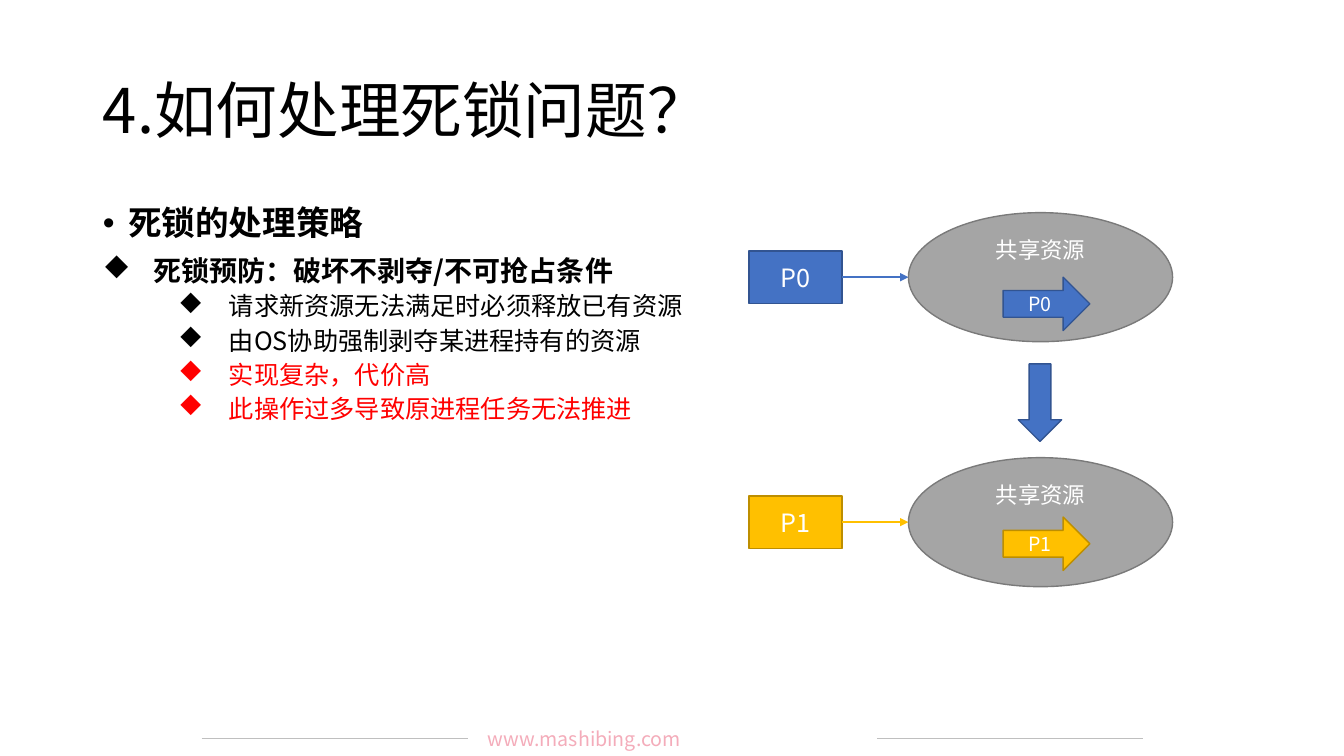
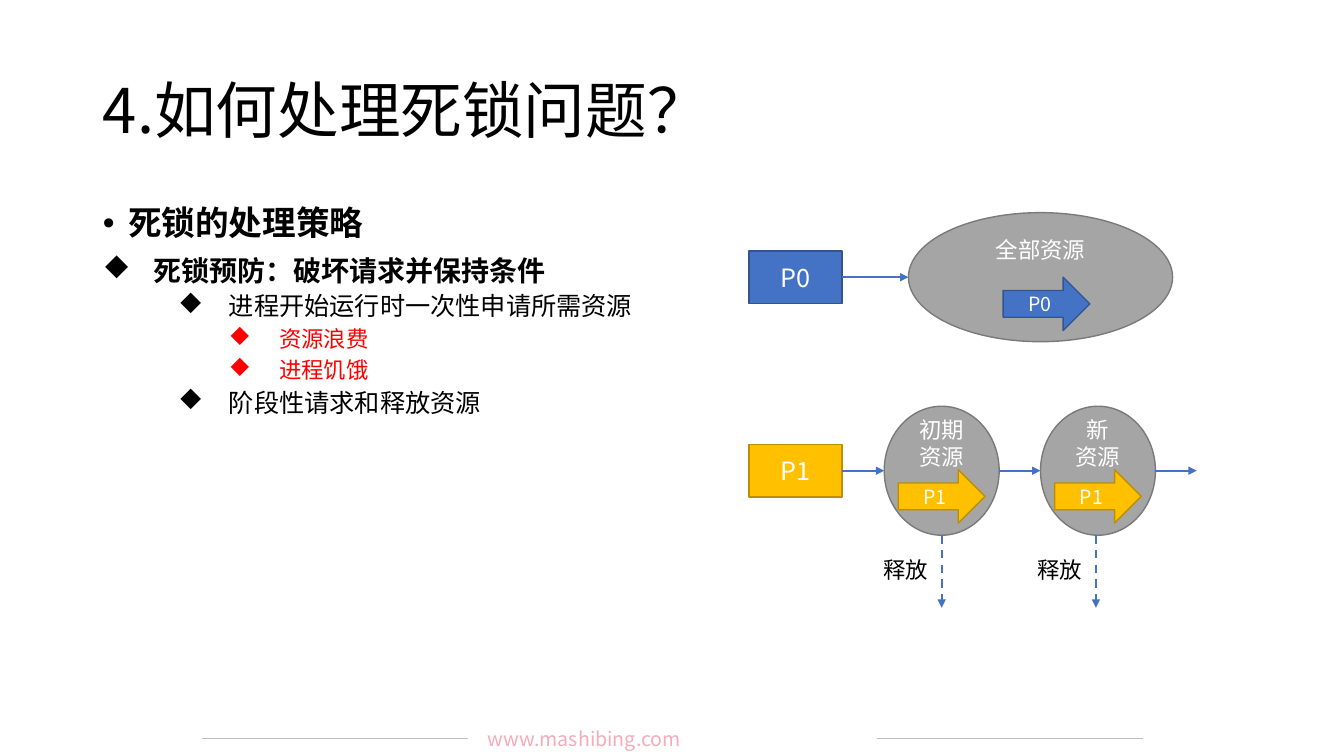
from lxml import etree
from pptx import Presentation
from pptx.dml.color import RGBColor
from pptx.enum import dml, shapes, text
from pptx.oxml import ns
from pptx.util import Inches, Pt

BLACK = RGBColor(0x00, 0x00, 0x00)
WHITE = RGBColor(0xFF, 0xFF, 0xFF)
RED = RGBColor(0xFF, 0x00, 0x00)
PINK = RGBColor(0xF4, 0xAC, 0xBA)
SILVER = RGBColor(0xBF, 0xBF, 0xBF)
BLUE = RGBColor(0x44, 0x72, 0xC4)
GOLD = RGBColor(0xFF, 0xC0, 0x00)
GRAY = RGBColor(0xA5, 0xA5, 0xA5)
OUTLINES = {
    BLUE: RGBColor(0x32, 0x54, 0x91),
    GOLD: RGBColor(0xBD, 0x8E, 0x00),
    GRAY: RGBColor(0x7A, 0x7A, 0x7A),
}
FONT = "Noto Sans CJK SC"
DIAMOND = ("Wingdings", "u")
DOT = ("Arial", "•")
BULLETS = {
    "heading": (0, 0.25, 0.25, 10, 24, True, DOT),
    "topic": (0, 0.5, 0.5, 10, 20, True, DIAMOND),
    "point": (1, 1.25, 0.5, 5, 18, False, DIAMOND),
    "detail": (2, 1.75, 0.5, 5, 16, False, DIAMOND),
}
TITLE = "4.如何处理死锁问题？"
HEADING = ("heading", "死锁的处理策略", BLACK)

PROCESS_LEFT, PROCESS_WIDTH, PROCESS_HEIGHT = 7.43, 0.92, 0.52
POOL_LEFT, POOL_WIDTH, POOL_HEIGHT = 9.01, 2.62, 1.28
STAGE_WIDTH, STAGE_GAP = 1.14, 0.41
LINE_HEIGHT = 0.27


def add_element(parent, tag, **attributes):
    return etree.SubElement(parent, ns.qn(tag), attributes)


class Deck:
    def __init__(self):
        self.presentation = Presentation()
        self.presentation.slide_width = Inches(13.33)
        self.presentation.slide_height = Inches(7.5)
        self.slide = None

    def new_slide(self, title, items):
        self.slide = self.presentation.slides.add_slide(self.presentation.slide_layouts[1])
        self.footer()
        self.title(title)
        self.body(items)

    def place(self, shape, left, top, width, height):
        shape.left, shape.top = Inches(left), Inches(top)
        shape.width, shape.height = Inches(width), Inches(height)

    def format_runs(self, paragraph, size, color, bold=False):
        for run in paragraph.runs:
            run.font.name = FONT
            run.font.size = Pt(size)
            run.font.bold = bold
            run.font.color.rgb = color
            add_element(run.font._element, "a:ea", typeface=FONT)

    def title(self, words):
        title = self.slide.shapes.title
        self.place(title, 0.92, 0.4, 11.5, 1.45)
        frame = title.text_frame
        frame.text = words
        frame.auto_size = text.MSO_AUTO_SIZE.NONE
        frame.vertical_anchor = text.MSO_ANCHOR.MIDDLE
        paragraph = frame.paragraphs[0]
        paragraph.alignment = text.PP_ALIGN.LEFT
        paragraph.line_spacing = 0.9
        self.format_runs(paragraph, 44, BLACK)

    def body(self, items):
        body = self.slide.placeholders[1]
        self.place(body, 0.92, 2, 11.5, 5.1)
        frame = body.text_frame
        frame.text = "\n".join(words for _, words, _ in items)
        frame.auto_size = text.MSO_AUTO_SIZE.NONE
        for index, (paragraph, (kind, _, color)) in enumerate(zip(frame.paragraphs, items)):
            level, margin, hanging, space, size, bold, (bullet_font, mark) = BULLETS[kind]
            properties = paragraph._p.get_or_add_pPr()
            properties.set("marL", str(Inches(margin)))
            properties.set("indent", str(-Inches(hanging)))
            add_element(properties, "a:buFont", typeface=bullet_font)
            add_element(properties, "a:buChar", char=mark)
            paragraph.level = level
            paragraph.line_spacing = 0.9
            paragraph.space_before = Pt(space if index else 0)
            self.format_runs(paragraph, size, color, bold)

    def footer(self):
        for left in (2, 8.7):
            self.line((left, 7.33), (left + 2.64, 7.33), SILVER, 0.5)
        self.label("www.mashibing.com", 4.74, 7.16, 3.85, 0.34, 14, PINK, text.PP_ALIGN.LEFT)

    def label(self, words, left, top, width, height, size, color, alignment):
        box = self.slide.shapes.add_textbox(
            Inches(left), Inches(top), Inches(width), Inches(height))
        box.text_frame.word_wrap = True
        box.text_frame.text = words
        paragraph = box.text_frame.paragraphs[0]
        paragraph.alignment = alignment
        self.format_runs(paragraph, size, color)

    def shape(self, kind, left, top, width, height, color, words="", size=18):
        shape = self.slide.shapes.add_shape(
            kind, Inches(left), Inches(top), Inches(width), Inches(height))
        shape.shadow.inherit = False
        shape.fill.solid()
        shape.fill.fore_color.rgb = color
        shape.line.color.rgb = OUTLINES[color]
        shape.line.width = Pt(1)
        if words:
            frame = shape.text_frame
            frame.text = words
            frame.vertical_anchor = text.MSO_ANCHOR.MIDDLE
            for paragraph in frame.paragraphs:
                paragraph.alignment = text.PP_ALIGN.CENTER
                self.format_runs(paragraph, size, WHITE)
        return shape

    def line(self, start, end, color, width=1.5):
        connector = self.slide.shapes.add_connector(
            shapes.MSO_CONNECTOR.STRAIGHT, *(Inches(value) for value in start + end))
        connector.line.color.rgb = color
        connector.line.width = Pt(width)
        add_element(connector._element.spPr, "a:effectLst")
        return connector

    def arrow(self, start, end, color=BLUE, dashed=False):
        connector = self.line(start, end, color)
        if dashed:
            connector.line.dash_style = dml.MSO_LINE.DASH
        add_element(connector.line._get_or_add_ln(), "a:tailEnd", type="triangle")
        return connector

    def process(self, name, center, color, target, arrow_color=BLUE):
        box = self.shape(shapes.MSO_SHAPE.RECTANGLE, PROCESS_LEFT, center - PROCESS_HEIGHT / 2,
                         PROCESS_WIDTH, PROCESS_HEIGHT, color, name)
        connector = self.arrow((PROCESS_LEFT + PROCESS_WIDTH, center), (target, center), arrow_color)
        connector.begin_connect(box, 3)

    def resource(self, words, left, center, width, rows=1):
        ellipse = self.shape(shapes.MSO_SHAPE.OVAL, left, center - POOL_HEIGHT / 2,
                             width, POOL_HEIGHT, GRAY, words, 16)
        frame = ellipse.text_frame
        frame.vertical_anchor = text.MSO_ANCHOR.TOP
        frame.margin_top = Inches((POOL_HEIGHT * 0.71 - (rows + 2) * LINE_HEIGHT) / 2)

    def holder(self, name, left, top, color):
        self.shape(shapes.MSO_SHAPE.RIGHT_ARROW, left, top, 0.86, 0.53, color, name, 14)

    def pool(self, name, words, center, color, holder_top):
        self.process(name, center, color, POOL_LEFT, color)
        self.resource(words, POOL_LEFT, center, POOL_WIDTH)
        self.holder(name, 9.95, holder_top, color)

    def stage(self, words, left, center, release):
        right = left + STAGE_WIDTH
        bottom = center + POOL_HEIGHT / 2
        self.resource(words, left, center, STAGE_WIDTH, rows=2)
        self.holder("P1", left + 0.14, center - 0.01, GOLD)
        self.arrow((right, center), (right + STAGE_GAP, center))
        self.arrow((release, bottom), (release, bottom + 0.72), dashed=True)
        self.label("释放", release - 0.72, bottom + 0.16, 0.72, 0.37, 16, BLACK,
                   text.PP_ALIGN.CENTER)


def main():
    deck = Deck()

    deck.new_slide(TITLE, [
        HEADING,
        ("topic", "死锁预防：破坏不剥夺/不可抢占条件", BLACK),
        ("point", "请求新资源无法满足时必须释放已有资源", BLACK),
        ("point", "由OS协助强制剥夺某进程持有的资源", BLACK),
        ("point", "实现复杂，代价高", RED),
        ("point", "此操作过多导致原进程任务无法推进", RED),
    ])
    deck.pool("P0", "共享资源", 2.75, BLUE, 2.75)
    deck.pool("P1", "共享资源", 5.18, GOLD, 5.13)
    deck.shape(shapes.MSO_SHAPE.DOWN_ARROW, 10.1, 3.61, 0.43, 0.77, BLUE)

    deck.new_slide(TITLE, [
        HEADING,
        ("topic", "死锁预防：破坏请求并保持条件", BLACK),
        ("point", "进程开始运行时一次性申请所需资源", BLACK),
        ("detail", "资源浪费", RED),
        ("detail", "进程饥饿", RED),
        ("point", "阶段性请求和释放资源", BLACK),
    ])
    deck.pool("P0", "全部资源", 2.75, BLUE, 2.75)
    deck.process("P1", 4.67, GOLD, 8.77)
    deck.stage("初期资源", 8.77, 4.67, 9.34)
    deck.stage("新\n资源", 10.32, 4.67, 10.87)

    deck.presentation.save("out.pptx")


if __name__ == "__main__":
    main()
